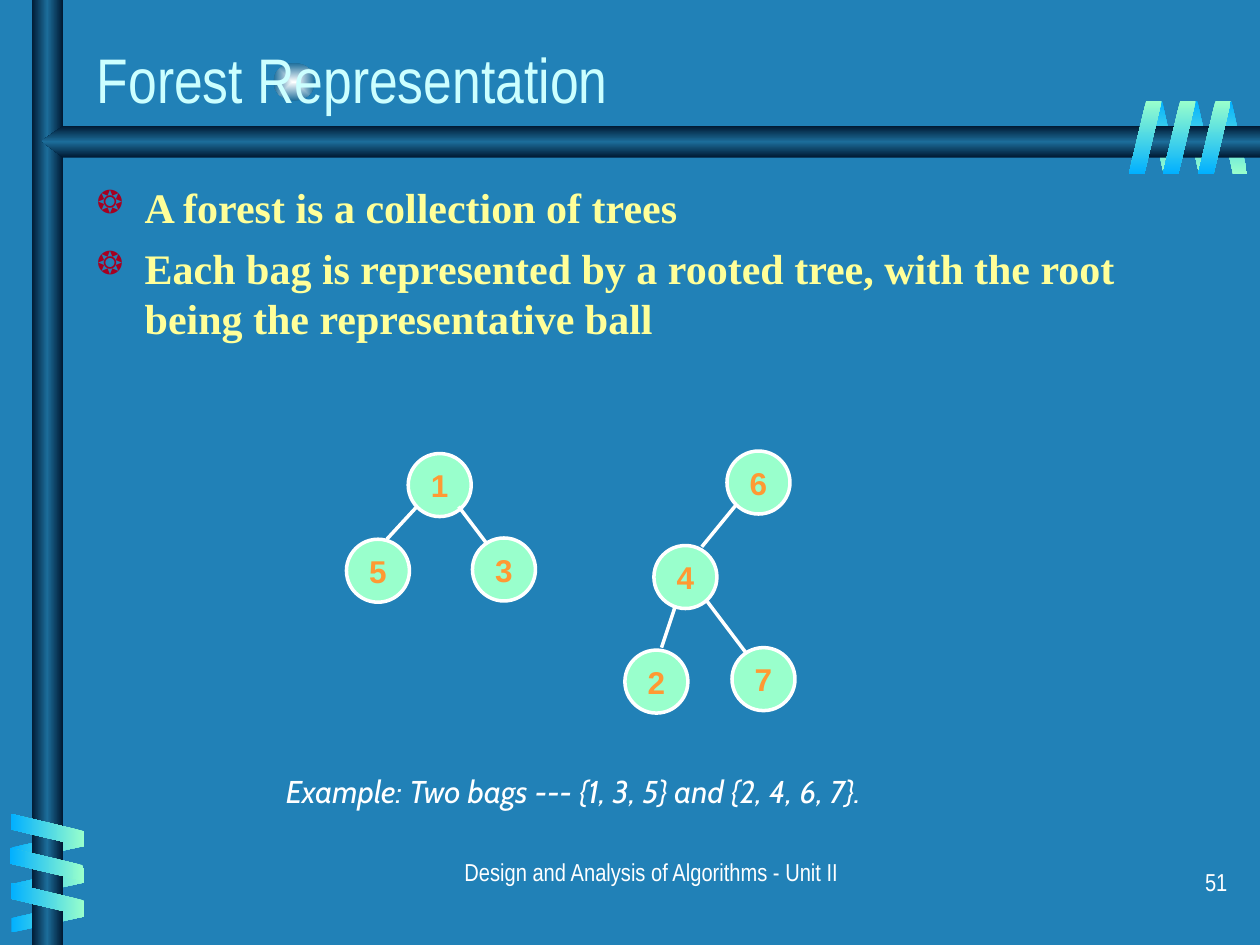
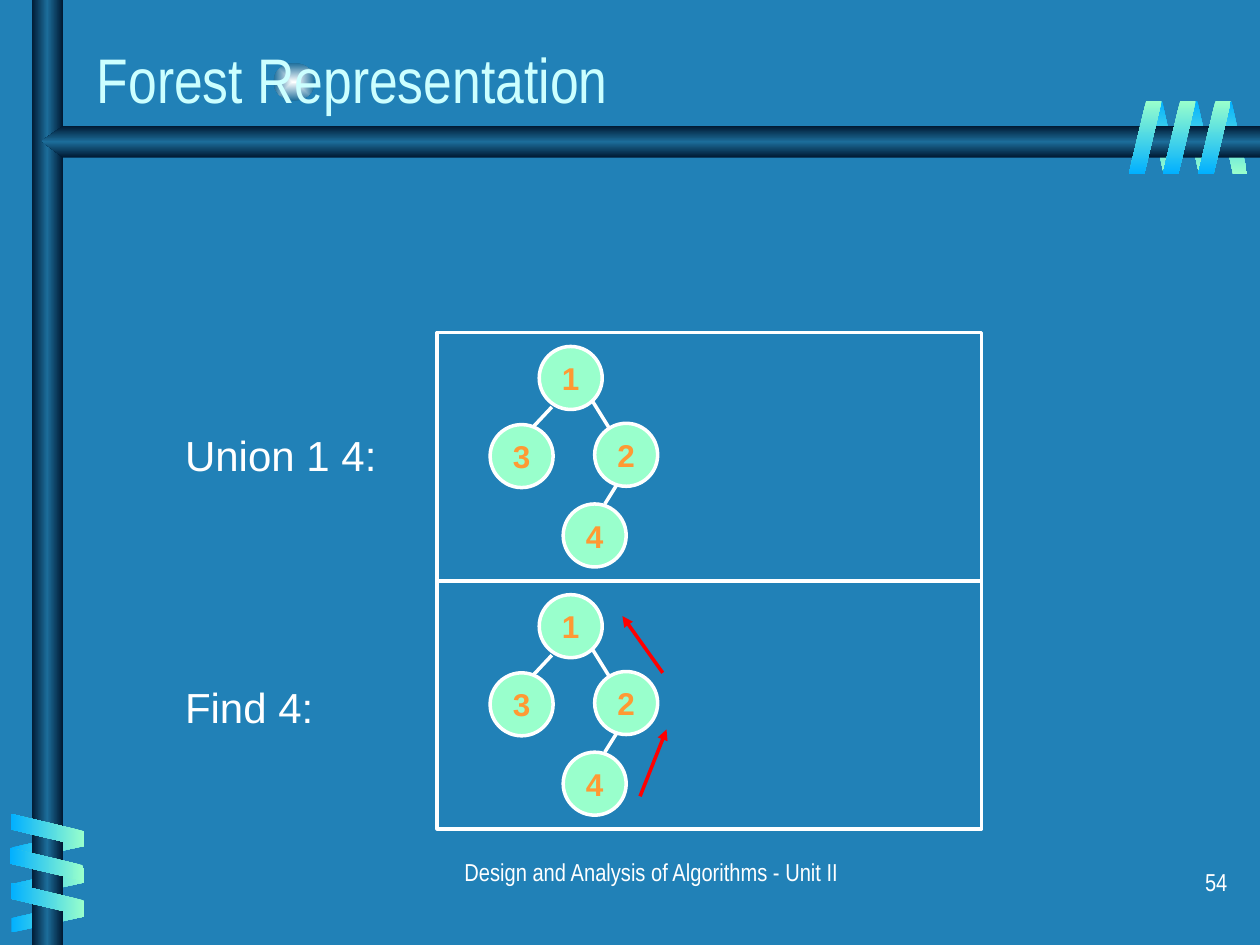
from dataclasses import dataclass

import lxml.etree
import pptx
import pptx.dml.color
import pptx.enum.shapes
import pptx.enum.text
import pptx.oxml.ns
import pptx.util

PX = 9144  # EMU per px, 100 px to the inch

SKY, WHITE, RED = "2181B7", "FFFFFF", "FF0000"
MINT, ORANGE, YELLOW, CRIMSON = "99FFCC", "FF9933", "FFFF99", "A50021"
TITLE_COLOR = "CCFFFF"
BAR_STOPS = ("001932", "1C6D9A", "001932")
FRONT_STOPS = (MINT, "01B0FF")
BACK_STOPS = FRONT_STOPS[::-1]
GLOW_STOPS = ("FEFFFF", "1C6D9A")

SHAPE = pptx.enum.shapes.MSO_SHAPE
ALIGN = pptx.enum.text.PP_ALIGN
ANCHOR = pptx.enum.text.MSO_ANCHOR
qn = pptx.oxml.ns.qn


@dataclass(frozen=True)
class Box:
    x: int
    y: int
    w: int
    h: int


@dataclass(frozen=True)
class Style:
    size: int
    font: str
    color: str = WHITE
    bold: bool = False
    italic: bool = False


@dataclass(frozen=True)
class Coil:
    """Strips of one ribbon side, all the same size and turned alike."""
    corners: tuple[tuple[int, int], ...]
    width: int
    stops: tuple[str, ...]
    angle: int
    rotation: int = 0
    flipped: bool = False


@dataclass(frozen=True)
class Node:
    label: str
    x: int
    y: int


@dataclass(frozen=True)
class Edge:
    x1: int
    y1: int
    x2: int
    y2: int


TITLE = Style(36, "Arial Narrow", TITLE_COLOR)
BODY = Style(24, "Times New Roman", YELLOW, bold=True)
NODE = Style(18, "Arial", ORANGE, bold=True)
CAPTION = Style(18, "Cabin", italic=True)
STEP = Style(24, "Arial")
FOOTER = Style(14, "Arial Narrow")

BACK_COILS = (
    Coil(((966, 80), (939, 80), (911, 80)), 24, BACK_STOPS, 90, 180, True),
    Coil(((26, 643), (26, 672), (26, 699)), 24, BACK_STOPS, 180, 90, True),
)
FRONT_COILS = (
    Coil(((25, 630), (24, 657), (25, 685)), 26, FRONT_STOPS, 180, 270),
    Coil(((951, 80), (923, 80), (896, 80)), 26, FRONT_STOPS, 90),
)

BAG_NODES = (
    Node("1", 324, 360), Node("5", 275, 428), Node("3", 375, 427),
    Node("6", 577, 358), Node("4", 519, 433), Node("2", 496, 516),
    Node("7", 581, 514),
)
BAG_EDGES = (
    Edge(307, 428, 331, 402), Edge(364, 402, 386, 431),
    Edge(557, 434, 584, 401), Edge(525, 514, 536, 481),
    Edge(561, 477, 592, 518),
)

STEP_HEIGHT = 197
STEP_FRAME = Box(347, 264, 432, STEP_HEIGHT)
STEP_NODES = (
    Node("1", 428, 275), Node("3", 389, 337),
    Node("4", 447, 400), Node("2", 472, 336),
)
STEP_EDGES = (
    Edge(423, 339, 438, 323), Edge(480, 400, 490, 384),
    Edge(470, 318, 483, 339),
)
FIND_ARROWS = (Edge(508, 632, 529, 579), Edge(526, 534, 494, 489))


def rgb(color: str) -> pptx.dml.color.RGBColor:
    return pptx.dml.color.RGBColor.from_string(color)


def place(box: Box) -> tuple[int, int, int, int]:
    return box.x * PX, box.y * PX, box.w * PX, box.h * PX


def add_xml(parent, tag: str, **attrs):
    el = lxml.etree.SubElement(parent, qn(tag))
    for name, value in attrs.items():
        el.set(name, str(value))
    return el


def fill_gradient(sp, stops: tuple[str, ...], angle: int | None = None) -> None:
    """Fill with evenly spaced stops, along an angle or out from the centre."""
    sp.shadow.inherit = False
    sp.line.fill.background()
    sp.fill.background()
    sp_pr = sp._element.spPr
    grad = lxml.etree.Element(qn("a:gradFill"), rotWithShape="0")
    stop_list = add_xml(grad, "a:gsLst")
    for i, color in enumerate(stops):
        gs = add_xml(stop_list, "a:gs", pos=100000 * i // (len(stops) - 1))
        add_xml(gs, "a:srgbClr", val=color)
    if angle is None:
        centre = add_xml(grad, "a:path", path="rect")
        add_xml(centre, "a:fillToRect", l=50000, t=50000, r=50000, b=50000)
    else:
        add_xml(grad, "a:lin", ang=angle * 60000, scaled=1)
    sp_pr.replace(sp_pr.find(qn("a:noFill")), grad)


def format_runs(p, style: Style) -> None:
    for r in p.runs:
        r.font.size = pptx.util.Pt(style.size)
        r.font.name = style.font
        r.font.bold = style.bold
        r.font.italic = style.italic
        r.font.color.rgb = rgb(style.color)


def add_text(s, box: Box, text: str, style: Style, align=ALIGN.LEFT,
             anchor=ANCHOR.TOP, space_before: float = 0):
    tf = s.shapes.add_textbox(*place(box)).text_frame
    tf.word_wrap = True
    tf.vertical_anchor = anchor
    tf.text = text
    for p in tf.paragraphs:
        p.alignment = align
        p.space_before = pptx.util.Pt(space_before)
        format_runs(p, style)
    return tf


def add_bullets(tf, indent: int) -> None:
    for p in tf.paragraphs:
        p_pr = p._p.get_or_add_pPr()
        p_pr.set("marL", str(indent * PX))
        p_pr.set("indent", str(-indent * PX))
        add_xml(add_xml(p_pr, "a:buClr"), "a:srgbClr", val=CRIMSON)
        add_xml(p_pr, "a:buSzPct", val=75000)
        add_xml(p_pr, "a:buChar", char="❂")


def add_coil(s, coil: Coil) -> None:
    for x, y in coil.corners:
        sp = s.shapes.add_shape(SHAPE.PARALLELOGRAM,
                                *place(Box(x, y, coil.width, 58)))
        sp.adjustments[0] = 0.53
        sp.rotation = coil.rotation
        if coil.flipped:
            sp._element.spPr.find(qn("a:xfrm")).set("flipH", "1")
        fill_gradient(sp, coil.stops, coil.angle)


def add_frame(s, box: Box) -> None:
    sp = s.shapes.add_shape(SHAPE.RECTANGLE, *place(box))
    sp.shadow.inherit = False
    sp.fill.background()
    sp.line.color.rgb = rgb(WHITE)
    sp.line.width = pptx.util.Pt(2)


def add_node(s, node: Node, dy: int) -> None:
    sp = s.shapes.add_shape(SHAPE.OVAL, *place(Box(node.x, node.y + dy, 50, 50)))
    sp.shadow.inherit = False
    sp.fill.solid()
    sp.fill.fore_color.rgb = rgb(MINT)
    sp.line.color.rgb = rgb(WHITE)
    sp.line.width = pptx.util.Pt(2)
    tf = sp.text_frame
    tf.word_wrap = False
    tf.vertical_anchor = ANCHOR.MIDDLE
    tf.text = node.label
    tf.paragraphs[0].alignment = ALIGN.CENTER
    format_runs(tf.paragraphs[0], NODE)


def add_edge(s, edge: Edge, dy: int = 0, color: str = WHITE,
             arrow: bool = False) -> None:
    cn = s.shapes.add_connector(
        pptx.enum.shapes.MSO_CONNECTOR.STRAIGHT,
        edge.x1 * PX, (edge.y1 + dy) * PX, edge.x2 * PX, (edge.y2 + dy) * PX)
    cn.line.color.rgb = rgb(color)
    cn.line.width = pptx.util.Pt(2)
    if arrow:
        add_xml(cn.line._get_or_add_ln(), "a:tailEnd", type="triangle")
    add_xml(cn._element.spPr, "a:effectLst")


def add_tree(s, nodes: tuple[Node, ...], edges: tuple[Edge, ...],
             dy: int = 0) -> None:
    for node in nodes:
        add_node(s, node, dy)
    for edge in edges:
        add_edge(s, edge, dy)


def add_base_slide(prs, title: str, number: int):
    """Add a slide with the background, bars, coils, title and footer."""
    s = prs.slides.add_slide(prs.slide_layouts[6])
    s.background.fill.solid()
    s.background.fill.fore_color.rgb = rgb(SKY)
    glow = s.shapes.add_shape(SHAPE.OVAL, *place(Box(217, 50, 33, 30)))
    fill_gradient(glow, GLOW_STOPS)
    for coil in BACK_COILS:
        add_coil(s, coil)
    post = s.shapes.add_shape(SHAPE.RECTANGLE, *place(Box(25, 0, 25, 750)))
    fill_gradient(post, BAR_STOPS, 180)
    fb = s.shapes.build_freeform(1000, 100, scale=PX)
    fb.add_line_segments([(50, 100), (33, 112), (50, 125), (1000, 125)])
    fill_gradient(fb.convert_to_shape(), BAR_STOPS, 90)
    for coil in FRONT_COILS:
        add_coil(s, coil)
    add_text(s, Box(67, 22, 830, 75), title, TITLE, anchor=ANCHOR.BOTTOM)
    add_text(s, Box(167, 675, 700, 50),
             "Design and Analysis of Algorithms - Unit II", FOOTER,
             ALIGN.CENTER, space_before=8.8)
    add_text(s, Box(776, 683, 208, 50), str(number), FOOTER,
             ALIGN.RIGHT, space_before=8.8)
    return s


def add_bags_slide(prs) -> None:
    s = add_base_slide(prs, "Forest Representation", 51)
    tf = add_text(s, Box(67, 139, 908, 536),
                  "A forest is a collection of trees\n"
                  "Each bag is represented by a rooted tree, with the root "
                  "being the representative ball", BODY, space_before=6)
    add_bullets(tf, 38)
    add_tree(s, BAG_NODES, BAG_EDGES)
    add_text(s, Box(217, 608, 567, 40),
             "Example: Two bags --- {1, 3, 5} and {2, 4, 6, 7}.", CAPTION)


def add_union_find_slide(prs) -> None:
    s = add_base_slide(prs, "Forest Representation", 54)
    for i, (label, label_y) in enumerate((("Union 1 4:", 336), ("Find 4:", 536))):
        dy = i * STEP_HEIGHT
        add_text(s, Box(137, label_y, 195, 50), label, STEP)
        add_frame(s, Box(STEP_FRAME.x, STEP_FRAME.y + dy,
                         STEP_FRAME.w, STEP_FRAME.h))
        add_tree(s, STEP_NODES, STEP_EDGES, dy)
    for arrow in FIND_ARROWS:
        add_edge(s, arrow, color=RED, arrow=True)


def main() -> None:
    prs = pptx.Presentation()
    prs.slide_width, prs.slide_height = 1000 * PX, 750 * PX
    add_bags_slide(prs)
    add_union_find_slide(prs)
    prs.save("out.pptx")


if __name__ == "__main__":
    main()
